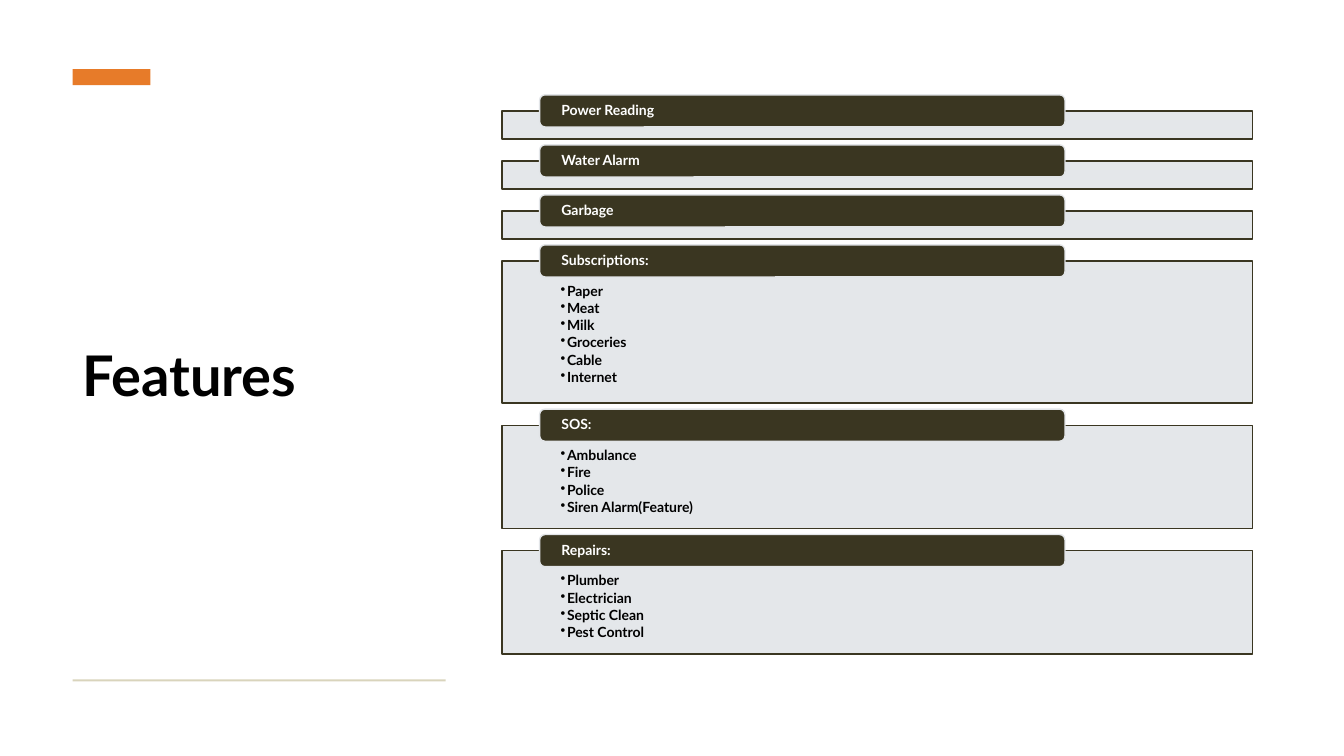
"""Build the Features slide with its list of titled boxes."""
from pptx import Presentation
from pptx.dml.color import RGBColor
from pptx.enum import shapes, text
from pptx.oxml.ns import qn
from pptx.util import Cm, Pt
from lxml import etree

DARK, PALE = "3A3621", "E2E5E8"
RECT = shapes.MSO_SHAPE.RECTANGLE
ROUND = shapes.MSO_SHAPE.ROUNDED_RECTANGLE
TOP, MID = text.MSO_ANCHOR.TOP, text.MSO_ANCHOR.MIDDLE

prs = Presentation()
prs.slide_width, prs.slide_height = Cm(33.87), Cm(19.05)
slide = prs.slides.add_slide(prs.slide_layouts[6])


def draw(kind, left, top, width, height, fill, line=None):
    shape = slide.shapes.add_shape(kind, Cm(left), Cm(top), Cm(width), Cm(height))
    shape.shadow.inherit = False
    shape.fill.solid()
    shape.fill.fore_color.rgb = RGBColor.from_string(fill)
    if line:
        shape.line.color.rgb = RGBColor.from_string(line)
        shape.line.width = Pt(1)
    else:
        shape.line.fill.background()
    return shape


def write(shape, lines, size=10, color="000000", anchor=MID,
          inset=(0.25, 0.13, 0.25, 0.13), after=0, bullet=False):
    frame = shape.text_frame
    frame.word_wrap = True
    frame.vertical_anchor = anchor
    (frame.margin_left, frame.margin_top,
     frame.margin_right, frame.margin_bottom) = map(Cm, inset)
    frame.text = "\n".join(lines)
    for para in frame.paragraphs:
        para.alignment = text.PP_ALIGN.LEFT
        para.line_spacing = 0.9
        para.space_after = Pt(after)
        font = para.font
        font.name, font.size, font.bold = "Lato", Pt(size), True
        font.color.rgb = RGBColor.from_string(color)
        if bullet:
            props = para._p.get_or_add_pPr()
            props.set("marL", str(Cm(0.16)))
            props.set("indent", str(Cm(-0.16)))
            mark = etree.Element(qn("a:buChar"), char="•")
            props.find(qn("a:defRPr")).addprevious(mark)


title = slide.shapes.add_textbox(Cm(1.83), Cm(2.67), Cm(9.4), Cm(13.74))
write(title, ["Features"], size=40, after=6)
draw(RECT, 1.83, 1.74, 1.96, 0.41, "E77B29")
draw(RECT, 1.83, 17.12, 9.4, 0.05, "D9D4BC")

groups = [
    ("Power Reading", 0.7, []),
    ("Water Alarm", 0.7, []),
    ("Garbage", 0.7, []),
    ("Subscriptions:", 3.58,
     ["Paper", "Meat", "Milk", "Groceries", "Cable", "Internet"]),
    ("SOS:", 2.6, ["Ambulance", "Fire", "Police", "Siren Alarm(Feature)"]),
    ("Repairs:", 2.6, ["Plumber", "Electrician", "Septic Clean", "Pest Control"]),
]
top = 2.8
for name, height, items in groups:
    box = draw(RECT, 12.65, top, 18.92, height, PALE, DARK)
    tint = box.fill._xPr.find(qn("a:solidFill"))[0]
    etree.SubElement(tint, qn("a:alpha"), val="90000")
    if items:
        write(box, items, anchor=TOP, inset=(1.48, 0.58, 1.48, 0.2),
              after=1.5, bullet=True)
    tab = draw(ROUND, 13.6, top - 0.41, 13.24, 0.81, DARK, PALE)
    write(tab, [name], color="FFFFFF", inset=(0.51, 0, 0.51, 0))
    top += height + 0.56

prs.save("out.pptx")
